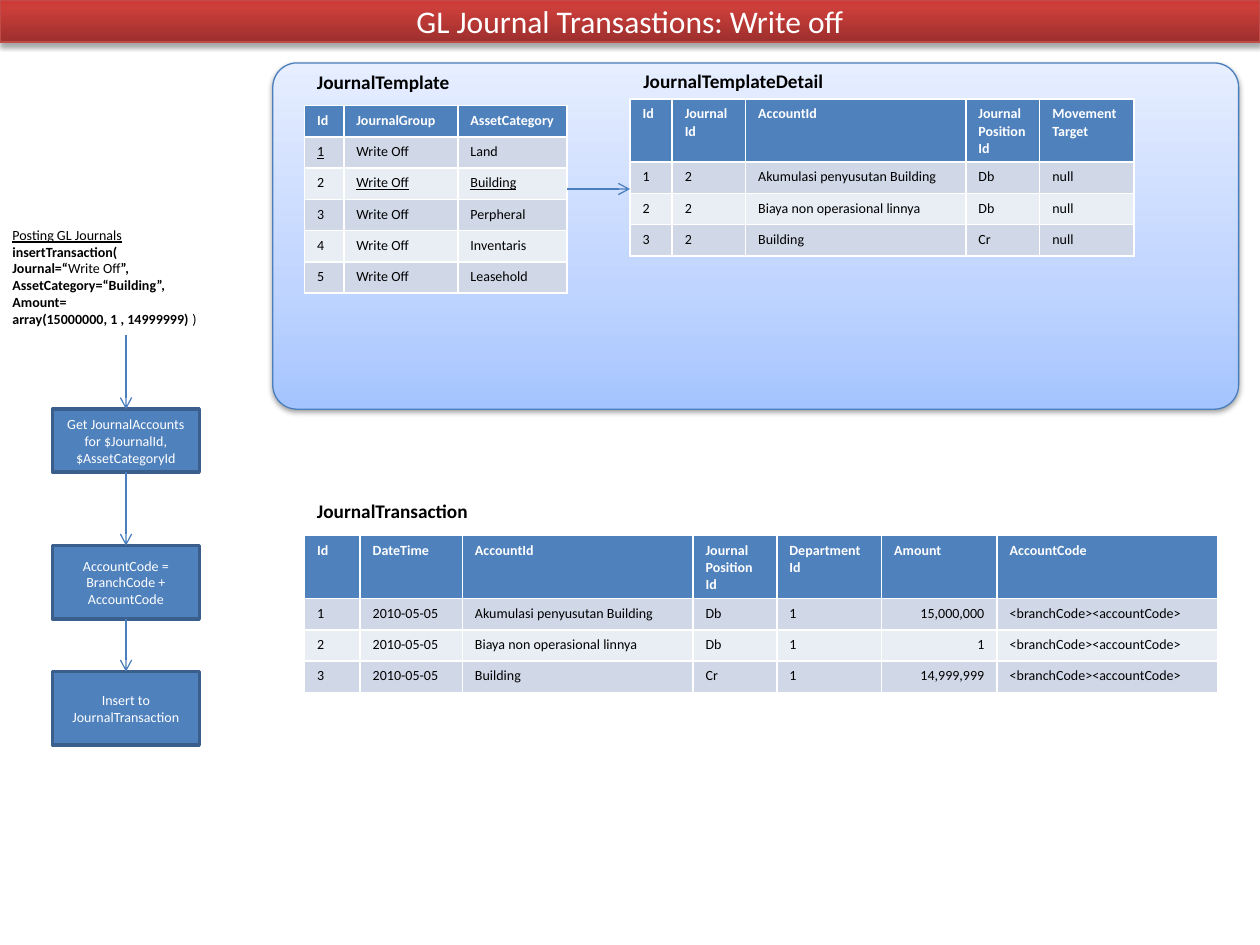
import pptx
import pptx.util
import pptx.dml.color
import pptx.enum.shapes
import pptx.enum.text
import pptx.oxml
import pptx.oxml.ns
from pptx.util import Cm

ALIGN = pptx.enum.text.PP_ALIGN
ANCHOR = pptx.enum.text.MSO_ANCHOR
AUTO_SIZE = pptx.enum.text.MSO_AUTO_SIZE
SHAPE = pptx.enum.shapes.MSO_SHAPE
BLUE, LINE_BLUE, BOX_LINE = "4F81BD", "4B7EBC", "3A5F8C"
BANDS = ("D0D8E8", "E9EDF4")
ROW_HEIGHT = 0.63


def color(value):
    return pptx.dml.color.RGBColor.from_string(value)


def add_child(parent, tag, **attributes):
    child = parent.makeelement(pptx.oxml.ns.qn(tag), attributes)
    parent.append(child)
    return child


def write_text(frame, paragraphs, align=ALIGN.LEFT, **base):
    """Each paragraph is a string or a list of (text, format changes)."""
    for index, runs in enumerate(paragraphs):
        paragraph = frame.paragraphs[0] if index == 0 else frame.add_paragraph()
        paragraph.alignment = align
        for text, changes in [(runs, {})] if isinstance(runs, str) else runs:
            style = {"size": 8, "fill": "000000", "bold": False, "underline": False, **base, **changes}
            for line_index, line in enumerate(text.split("\n")):
                if line_index:
                    paragraph.add_line_break()
                run = paragraph.add_run()
                run.text = line
                font = run.font
                font.name, font.size = "Calibri", pptx.util.Pt(style["size"])
                font.bold, font.underline = style["bold"], style["underline"]
                font.color.rgb = color(style["fill"])


def set_line(shape, value, width=0.75):
    shape.line.color.rgb = color(value)
    shape.line.width = pptx.util.Pt(width)


def set_gradient(shape, stops):
    """Stops run from the bottom edge to the top edge."""
    shape.fill.gradient()
    shape.fill.gradient_angle = 90
    stop_list = shape._element.spPr.find(".//" + pptx.oxml.ns.qn("a:gsLst"))
    for stop in list(stop_list):
        stop_list.remove(stop)
    for position, value in stops:
        stop = add_child(stop_list, "a:gs", pos=str(position * 1000))
        add_child(stop, "a:srgbClr", val=value)


def set_shadow(shape, opacity, distance):
    shape.shadow.inherit = False
    effects = shape._element.spPr.find(pptx.oxml.ns.qn("a:effectLst"))
    shadow = add_child(effects, "a:outerShdw", blurRad=str(pptx.util.Pt(3.1)),
                       dist=str(pptx.util.Pt(distance)), dir="5400000", rotWithShape="0")
    shade = add_child(shadow, "a:srgbClr", val="000000")
    add_child(shade, "a:alpha", val=str(opacity * 1000))


def add_arrow(slide, start=(0, 0), end=(0, 0), upper=None, lower=None):
    """Arrow between two points, or from the bottom of one shape to the top of another."""
    arrow = slide.shapes.add_connector(
        pptx.enum.shapes.MSO_CONNECTOR.STRAIGHT, *(Cm(value) for value in start + end))
    if upper is not None:
        arrow.begin_connect(upper, 2)
        arrow.end_connect(lower, 0)
    set_line(arrow, LINE_BLUE)
    add_child(arrow.line._get_or_add_ln(), "a:tailEnd", type="arrow")
    add_child(arrow._element.spPr, "a:effectLst")


def add_text_box(slide, left, top, width, height, paragraphs, wrap=True, **style):
    box = slide.shapes.add_textbox(Cm(left), Cm(top), Cm(width), Cm(height))
    box.text_frame.word_wrap = wrap
    box.text_frame.auto_size = AUTO_SIZE.SHAPE_TO_FIT_TEXT
    write_text(box.text_frame, paragraphs, **style)
    return box


def add_heading(slide, left, top, width, height, text):
    add_text_box(slide, left, top, width, height, [text], wrap=False, size=11, bold=True)


def add_data_table(slide, left, top, widths, rows, header_height=ROW_HEIGHT, right_column=None):
    table = slide.shapes.add_table(
        len(rows), len(widths), Cm(left), Cm(top), Cm(sum(widths)),
        Cm(header_height + ROW_HEIGHT * (len(rows) - 1))).table
    for column, width in zip(table.columns, widths):
        column.width = Cm(width)
    for row_index, row in enumerate(rows):
        header = row_index == 0
        table.rows[row_index].height = Cm(header_height if header else ROW_HEIGHT)
        for column_index, content in enumerate(row):
            cell = table.cell(row_index, column_index)
            cell.fill.solid()
            cell.fill.fore_color.rgb = color(BLUE if header else BANDS[(row_index - 1) % 2])
            right = column_index == right_column and not header
            write_text(cell.text_frame, [content], align=ALIGN.RIGHT if right else ALIGN.LEFT,
                       bold=header, fill="FFFFFF" if header else "000000")


def add_title(slide, left, top, width, height):
    title = slide.shapes.title
    title.left, title.top, title.width, title.height = Cm(left), Cm(top), Cm(width), Cm(height)
    set_gradient(title, [(0, "9C2F2D"), (80, "CB3E3A"), (100, "CE3B37")])
    set_line(title, "BF4C48")
    set_shadow(title, 35, 1.8)
    title.text_frame.auto_size = AUTO_SIZE.NONE
    title.text_frame.vertical_anchor = ANCHOR.MIDDLE
    write_text(title.text_frame, ["GL Journal Transastions: Write off"],
               align=ALIGN.CENTER, size=18, fill="FFFFFF")


def add_template_panel(slide, left, top, width, height):
    panel = slide.shapes.add_shape(SHAPE.ROUNDED_RECTANGLE, Cm(left), Cm(top), Cm(width), Cm(height))
    panel.adjustments[0] = 0.07
    set_gradient(panel, [(0, "A4C4FF"), (35, "BFD4FF"), (100, "E6EEFF")])
    set_line(panel, LINE_BLUE)
    set_shadow(panel, 38, 1.6)

    # Journal templates, with the matching row underlined
    def underlined(text):
        return [(text, {"underline": True})]

    add_heading(slide, left + 0.64, top + 0.03, 3.25, 0.74, "JournalTemplate")
    add_data_table(slide, left + 0.64, top + 0.86, [0.79, 2.3, 2.2], [
        ("Id", "JournalGroup", "AssetCategory"),
        (underlined("1"), "Write Off", "Land"),
        ("2", underlined("Write Off"), underlined("Building")),
        ("3", "Write Off", "Perpheral"),
        ("4", "Write Off", "Inventaris"),
        ("5", "Write Off", "Leasehold")])

    # Template details
    add_heading(slide, left + 7.22, top, 4.22, 0.74, "JournalTemplateDetail")
    add_data_table(slide, left + 7.2, top + 0.73, [0.85, 1.48, 4.44, 1.49, 1.9], [
        ("Id", "Journal Id", "AccountId", "Journal\nPosition\nId", "Movement\nTarget"),
        ("1", "2", "Akumulasi penyusutan Building", "Db", "null"),
        ("2", "2", "Biaya non operasional linnya", "Db", "null"),
        ("3", "2", "Building", "Cr", "null")], header_height=2 * ROW_HEIGHT)
    add_arrow(slide, (left + 5.93, top + 2.54), (left + 7.2, top + 2.54))


def add_transactions(slide, left, top):
    add_heading(slide, left, top, 3.61, 0.74, "JournalTransaction")
    date, code = "2010-05-05", "<branchCode><accountCode>"
    add_data_table(slide, left, top + 0.85, [1.12, 2.06, 4.65, 1.69, 2.11, 2.33, 4.45], [
        ("Id", "DateTime", "AccountId", "Journal Position Id", "Department Id", "Amount", "AccountCode"),
        ("1", date, "Akumulasi penyusutan Building", "Db", "1", "15,000,000", code),
        ("2", date, "Biaya non operasional linnya", "Db", "1", "1", code),
        ("3", date, "Building", "Cr", "1", "14,999,999", code)],
        header_height=2 * ROW_HEIGHT, right_column=5)


def add_posting_flow(slide, left, top, width):
    # Call that starts the flow
    plain = {"bold": False}
    previous = add_text_box(slide, left, top, width, 2.32, [
        [("Posting GL Journals", {"bold": False, "underline": True})],
        "insertTransaction(",
        [("Journal=“", {}), ("Write Off", plain), ("”,", {})],
        "AssetCategory=“Building”,",
        "Amount=",
        [("array(15000000, 1 , 14999999)", {}), (" )", plain)]], bold=True)

    # Steps, each joined to the one above
    step_width = 2.96
    for offset, height, text in [
            (3.81, 1.27, "Get JournalAccounts for $JournalId, $AssetCategoryId"),
            (6.56, 1.48, "AccountCode = BranchCode + AccountCode"),
            (9.1, 1.48, "Insert to JournalTransaction")]:
        step = slide.shapes.add_shape(SHAPE.RECTANGLE, Cm(left + (width - step_width) / 2),
                                      Cm(top + offset), Cm(step_width), Cm(height))
        step.shadow.inherit = False
        step.fill.solid()
        step.fill.fore_color.rgb = color(BLUE)
        set_line(step, BOX_LINE, 2)
        step.text_frame.word_wrap = True
        step.text_frame.vertical_anchor = ANCHOR.MIDDLE
        write_text(step.text_frame, [text], align=ALIGN.CENTER, fill="FFFFFF")
        add_arrow(slide, upper=previous, lower=step)
        previous = step


def main():
    presentation = pptx.Presentation()
    presentation.slide_width, presentation.slide_height = Cm(25.4), Cm(19.05)
    slide = presentation.slides.add_slide(presentation.slide_layouts[5])
    add_transactions(slide, 6.14, 9.95)
    add_title(slide, 0, 0, 25.4, 0.85)
    add_posting_flow(slide, 0, 4.44, 5.08)
    add_template_panel(slide, 5.5, 1.27, 19.47, 6.98)
    presentation.save("out.pptx")


if __name__ == "__main__":
    main()
